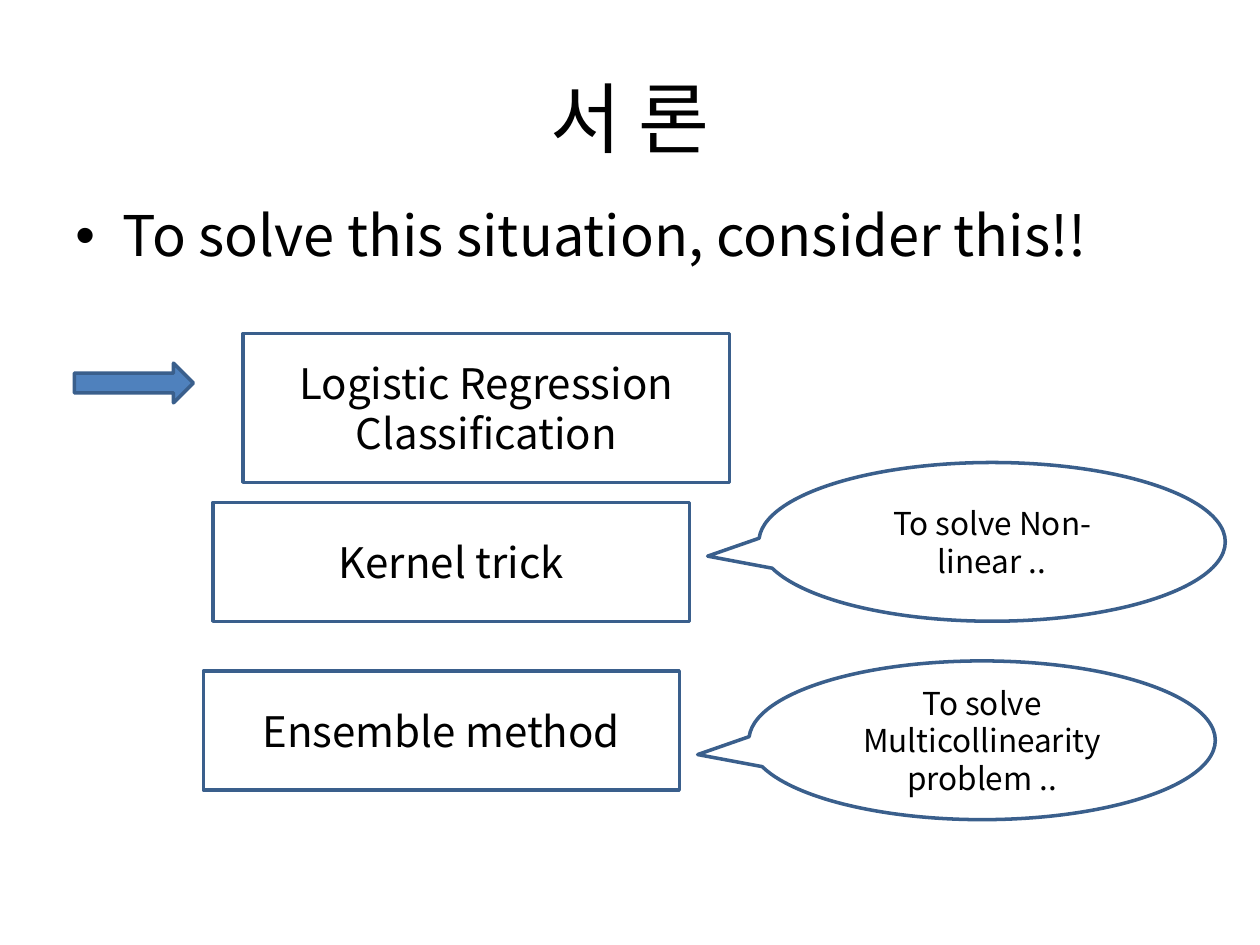
from lxml.etree import SubElement
from pptx import Presentation
from pptx.dml.color import RGBColor
from pptx.enum.shapes import MSO_SHAPE
from pptx.enum.text import MSO_ANCHOR, PP_ALIGN
from pptx.oxml.ns import qn
from pptx.util import Pt

FONT = "Noto Sans CJK KR"
BLACK = "000000"
BLUE = "4F81BD"
OUTLINE = "3A5F8C"
LINE_HEIGHT = 1.19


def color(value):
    return RGBColor.from_string(value)


def write_text(shape, text, size, align=PP_ALIGN.CENTER, anchor=MSO_ANCHOR.MIDDLE):
    frame = shape.text_frame
    frame.word_wrap = True
    frame.vertical_anchor = anchor
    paragraph = frame.paragraphs[0]
    paragraph.alignment = align
    paragraph.line_spacing = Pt(round(size * LINE_HEIGHT, 1))
    run = paragraph.add_run()
    run.text = text
    run.font.name = FONT
    run.font.size = Pt(size)
    run.font.color.rgb = color(BLACK)
    SubElement(run.font._element, qn("a:ea")).set("typeface", FONT)
    return paragraph


def add_text(slide, box, text, size, **layout):
    shape = slide.shapes.add_textbox(*map(Pt, box))
    return write_text(shape, text, size, **layout)


def add_bullet(paragraph, indent):
    properties = paragraph._p.get_or_add_pPr()
    properties.set("marL", str(Pt(indent)))
    properties.set("indent", str(-Pt(indent)))
    SubElement(properties, qn("a:buFont")).set("typeface", "Arial")
    SubElement(properties, qn("a:buChar")).set("char", "•")


def add_outlined(slide, kind, box, fill=None):
    shape = slide.shapes.add_shape(kind, *map(Pt, box))
    shape.shadow.inherit = False
    if fill:
        shape.fill.solid()
        shape.fill.fore_color.rgb = color(fill)
    else:
        shape.fill.background()
    shape.line.color.rgb = color(OUTLINE)
    shape.line.width = Pt(2)
    return shape


def add_method(slide, box, text):
    shape = add_outlined(slide, MSO_SHAPE.FLOWCHART_PROCESS, box)
    write_text(shape, text, 24)


def add_callout(slide, left, top, text):
    shape = add_outlined(slide, MSO_SHAPE.OVAL_CALLOUT, (left, top, 266.5, 90.7))
    shape.adjustments[0] = -0.61
    shape.adjustments[1] = 0.09
    write_text(shape, text, 18)


def main():
    presentation = Presentation()
    presentation.slide_width = Pt(720)
    presentation.slide_height = Pt(540)
    slide = presentation.slides.add_slide(presentation.slide_layouts[6])

    add_text(slide, (36, 21.6, 648, 90), "서 론", 44)
    statement = add_text(slide, (36, 111.6, 648, 68), "To solve this situation, consider this!!", 32,
                         align=PP_ALIGN.LEFT, anchor=MSO_ANCHOR.TOP)
    add_bullet(statement, 27)

    add_method(slide, (138.9, 190.6, 278, 85), "Logistic Regression Classification")
    add_outlined(slide, MSO_SHAPE.RIGHT_ARROW, (42.5, 207.5, 68, 22.7), BLUE)
    add_method(slide, (121.9, 287, 272, 68), "Kernel trick")
    add_method(slide, (116.2, 383.4, 272, 68), "Ensemble method")

    add_callout(slide, 433.7, 264.3, "To solve Non-linear ..")
    add_callout(slide, 428, 377.7, "To solve Multicollinearity problem ..")

    presentation.save("out.pptx")


if __name__ == "__main__":
    main()
